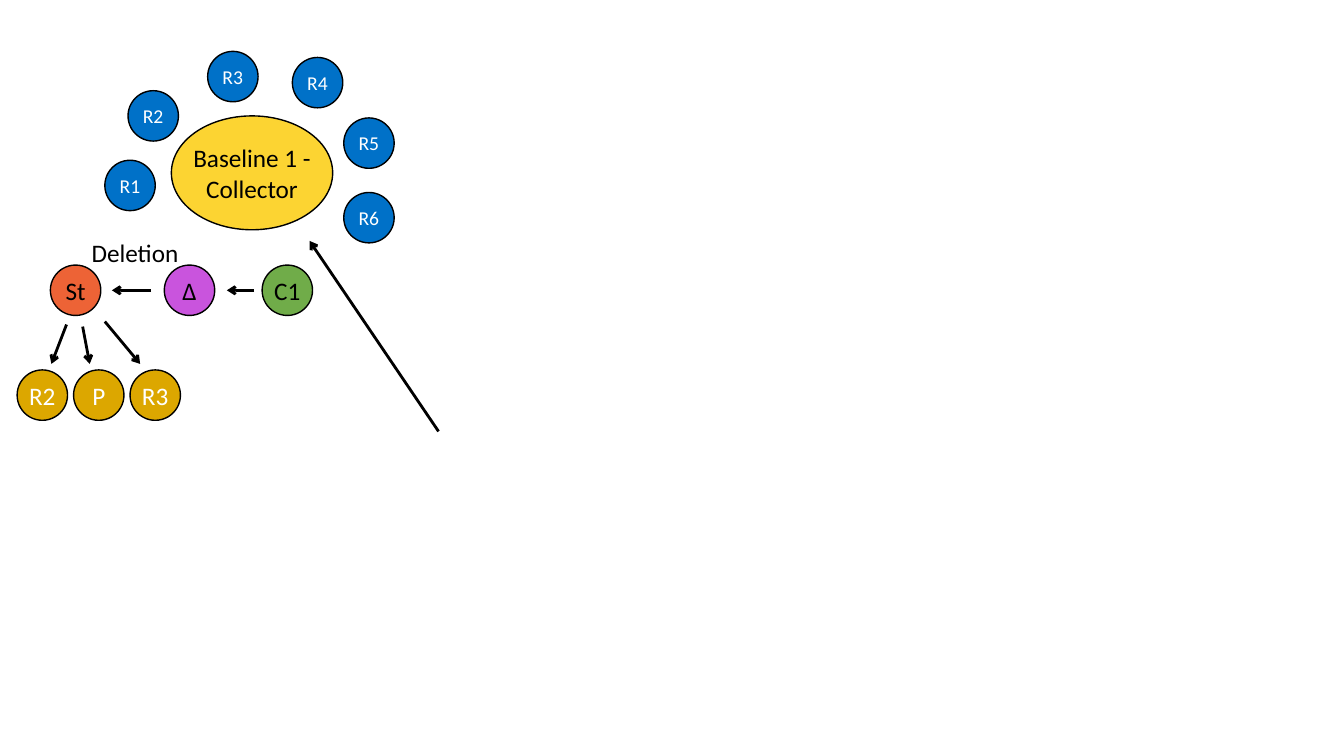
"""Build the slide showing how a change set reaches the Baseline 1 collector."""
from lxml.etree import SubElement
from pptx import Presentation
from pptx.dml.color import RGBColor
from pptx.enum.shapes import MSO_CONNECTOR, MSO_SHAPE
from pptx.enum.text import MSO_ANCHOR, MSO_AUTO_SIZE, PP_ALIGN
from pptx.oxml.ns import qn
from pptx.util import Inches, Pt

BLACK, WHITE = "000000", "FFFFFF"
BLUE, YELLOW, GOLD = "0071C8", "FCD432", "DCA700"
GREEN, PURPLE, ORANGE = "70AC49", "C954DD", "EA4813"
NODE = 0.5
CHAIN_TOP = 2.63
CHAIN_MID = CHAIN_TOP + NODE / 2
LEAF_TOP, LEAF_LEFT, LEAF_STEP = 3.67, 0.17, 0.56
LEAF_TIP = 3.61


def add_ellipse(shapes, text, left, top, fill, color=BLACK, size=18, width=NODE, height=NODE):
    sp = shapes.add_shape(MSO_SHAPE.OVAL, Inches(left), Inches(top), Inches(width), Inches(height))
    sp.shadow.inherit = False
    sp.fill.solid()
    sp.fill.fore_color.rgb = RGBColor.from_string(fill)
    sp.line.color.rgb = RGBColor.from_string(BLACK)
    sp.line.width = Pt(1)
    tf = sp.text_frame
    tf.text = text
    tf.word_wrap = False
    tf.vertical_anchor = MSO_ANCHOR.MIDDLE
    for p in tf.paragraphs:
        p.alignment = PP_ALIGN.CENTER
        p.font.name = "Calibri"
        p.font.size = Pt(size)
        p.font.color.rgb = RGBColor.from_string(color)
    return sp


def add_arrow(shapes, x1, y1, x2, y2):
    cxn = shapes.add_connector(MSO_CONNECTOR.STRAIGHT, Inches(x1), Inches(y1), Inches(x2), Inches(y2))
    cxn.line.color.rgb = RGBColor.from_string(BLACK)
    cxn.line.width = Pt(2)
    SubElement(cxn.line._get_or_add_ln(), qn("a:tailEnd"), type="arrow")
    SubElement(cxn._element.spPr, qn("a:effectLst"))


prs = Presentation()
prs.slide_width, prs.slide_height = Inches(13.33), Inches(7.5)
s = prs.slides.add_slide(prs.slide_layouts[6])

add_ellipse(s.shapes, "Baseline 1 -\nCollector", 1.7, 1.15, YELLOW, width=1.6, height=1.13)
ring = [(1.04, 1.59), (1.27, 0.9), (2.06, 0.51), (2.9, 0.57), (3.41, 1.17), (3.41, 1.91)]
for number, (left, top) in enumerate(ring, 1):
    add_ellipse(s.shapes, f"R{number}", left, top, BLUE, WHITE, 14)
add_arrow(s.shapes, 4.35, 4.28, 3.07, 2.39)

change = s.shapes.add_group_shape().shapes
add_ellipse(change, "C1", 2.6, CHAIN_TOP, GREEN)
add_ellipse(change, "∆", 1.63, CHAIN_TOP, PURPLE)
state = add_ellipse(change, "St", 0.5, CHAIN_TOP, ORANGE)
state_color = state._element.spPr.find(qn("a:solidFill"))[0]
SubElement(state_color, qn("a:alpha"), val="85000")

for start, end in [(2.52, 2.25), (1.5, 1.11)]:
    add_arrow(change, start, CHAIN_MID, end, CHAIN_MID)

for col, text in enumerate(["R2", "P", "R3"]):
    add_ellipse(change, text, LEAF_LEFT + col * LEAF_STEP, LEAF_TOP, GOLD, WHITE)
for x1, y1, x2 in [(0.66, 3.22, 0.51), (0.82, 3.24, 0.89), (1.04, 3.19, 1.39)]:
    add_arrow(change, x1, y1, x2, LEAF_TIP)

label = change.add_textbox(Inches(0.81), Inches(2.31), Inches(1.08), Inches(0.4))
tf = label.text_frame
tf.word_wrap = False
tf.auto_size = MSO_AUTO_SIZE.SHAPE_TO_FIT_TEXT
p = tf.paragraphs[0]
p.text = "Deletion"
p.font.name = "Calibri"
p.font.size = Pt(18)
p.font.color.rgb = RGBColor.from_string(BLACK)

prs.save("out.pptx")
